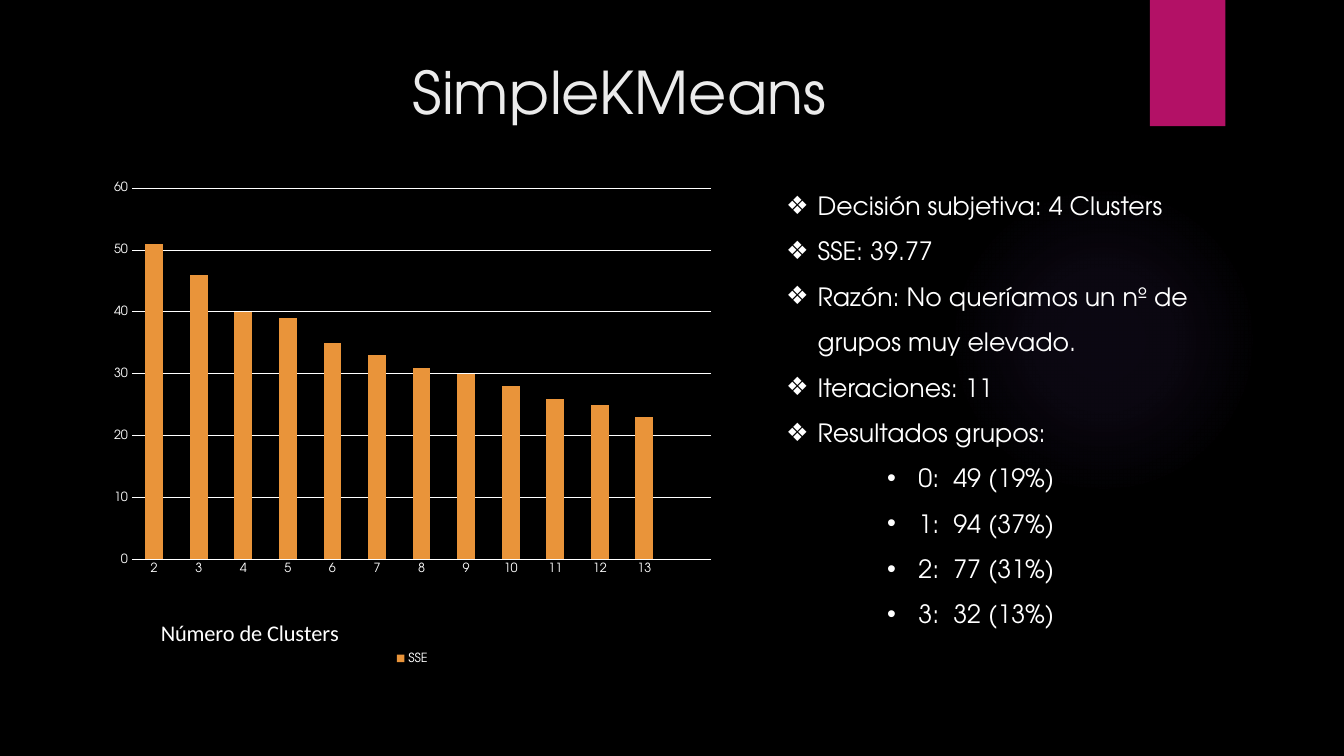
from lxml import etree
from pptx import Presentation
from pptx import util as u
from pptx.chart.data import CategoryChartData
from pptx.dml.color import RGBColor
from pptx.enum import chart as ch, shapes, text
from pptx.oxml import parse_xml
from pptx.oxml.ns import nsdecls, qn

FONT = "TeX Gyre Adventor"
WHITE = "FFFFFF"
SSE_BY_CLUSTERS = [51, 46, 40, 39, 35, 33, 31, 30, 28, 26, 25, 23, None]
DECISIONS = [
    "Decisión subjetiva: 4 Clusters",
    "SSE: 39.77",
    "Razón: No queríamos un nº de grupos muy elevado.",
    "Iteraciones: 11",
    "Resultados grupos:",
]
GROUPS = ["0:  49 (19%)", "1:  94 (37%)", "2:  77 (31%)", "3:  32 (13%)"]


def color(value):
    return RGBColor.from_string(value)


def cm(*lengths):
    return [u.Cm(length) for length in lengths]


def style_font(font, size, name=FONT, fill=WHITE, bold=False):
    font.size, font.name, font.bold = u.Pt(size), name, bold
    font.color.rgb = color(fill)


def write(paragraph, content, size=18, fill=WHITE, name=FONT, align=None, spacing=None):
    run = paragraph.add_run()
    run.text = content
    style_font(run.font, size, name, fill)
    paragraph.alignment = align
    paragraph.line_spacing = spacing


def place(shape, *box):
    shape.left, shape.top, shape.width, shape.height = cm(*box)


def add_bullet(paragraph, mark, left):
    hanging = u.Cm(0.79)
    properties = paragraph._p.get_or_add_pPr()
    properties.set("marL", str(u.Cm(left)))
    properties.set("indent", str(-hanging))
    paragraph.space_before = u.Pt(0)
    etree.SubElement(properties, qn("a:buChar")).set("char", mark)


def add_decoration(slide, kind, box, fill=None):
    decoration = slide.shapes.add_shape(kind, *cm(*box))
    decoration.shadow.inherit = False
    decoration.line.fill.background()
    if fill:
        decoration.fill.solid()
        decoration.fill.fore_color.rgb = color(fill)
    else:
        decoration.fill.background()
    return decoration


def add_glow(slide):
    glow = add_decoration(slide, shapes.MSO_SHAPE.OVAL, (23.9, 4.65, 7.82, 7.82))
    stops = "".join(
        f'<a:gs pos="{position}000"><a:srgbClr val="9B6BF2">'
        f'<a:alpha val="{alpha}000"/></a:srgbClr></a:gs>'
        for position, alpha in ((0, 7), (36, 6), (69, 0))
    )
    gradient = parse_xml(
        f'<a:gradFill {nsdecls("a")}><a:gsLst>{stops}</a:gsLst><a:path path="circle">'
        '<a:fillToRect l="50000" t="50000" r="50000" b="50000"/></a:path></a:gradFill>'
    )
    properties = glow._element.spPr
    properties.replace(properties.find(qn("a:noFill")), gradient)
    slide.shapes._spTree.insert(2, glow._element)


def manual_layout(inner=False, **fractions):
    target = '<c:layoutTarget val="inner"/>' if inner else ""
    modes = "".join(f'<c:{axis}Mode val="edge"/>' for axis in "xy")
    sizes = "".join(f'<c:{key} val="{value}"/>' for key, value in fractions.items())
    return parse_xml(
        f'<c:layout {nsdecls("c")}><c:manualLayout>{target}{modes}{sizes}'
        "</c:manualLayout></c:layout>"
    )


def set_layout(parent, layout, after=None):
    for old in parent.findall(qn("c:layout")):
        parent.remove(old)
    if after is None:
        parent.insert(0, layout)
    else:
        after.addnext(layout)


def style_axis(axis):
    axis.major_tick_mark = axis.minor_tick_mark = ch.XL_TICK_MARK.NONE
    style_font(axis.tick_labels.font, 9)


def style_line(line):
    line.color.rgb = color(WHITE)
    line.width = u.Pt(0.75)


def add_sse_chart(slide):
    data = CategoryChartData()
    data.categories = [str(count) for count in range(2, 14)] + [""]
    data.add_series("SSE", SSE_BY_CLUSTERS)
    chart = slide.shapes.add_chart(
        ch.XL_CHART_TYPE.COLUMN_STACKED, *cm(2.54, 4.37, 15.7, 12.47), data
    ).chart
    style_font(chart.font, 10)
    chart.has_title = False

    chart.has_legend = True
    chart.legend.position = ch.XL_LEGEND_POSITION.BOTTOM
    chart.legend.include_in_layout = False
    style_font(chart.legend.font, 9)

    bars = chart.plots[0]
    bars.gap_width, bars.overlap, bars.vary_by_categories = 150, 100, False
    sse_fill = bars.series[0].format.fill
    sse_fill.solid()
    sse_fill.fore_color.rgb = color("E9943A")

    clusters, sse = chart.category_axis, chart.value_axis
    style_axis(clusters)
    style_axis(sse)
    style_line(clusters.format.line)
    style_line(sse.major_gridlines.format.line)
    sse.format.line.fill.background()
    sse.minimum_scale, sse.maximum_scale, sse.major_unit = 0, 60, 10

    caption = clusters.axis_title
    write(caption.text_frame.paragraphs[0], "Número de Clusters", size=16, name="Calibri")
    caption_xml = caption._element
    set_layout(caption_xml, manual_layout(x=0.09, y=0.89), caption_xml.find(qn("c:tx")))
    plot_area = chart._chartSpace.chart.plotArea
    set_layout(plot_area, manual_layout(inner=True, x=0.05, y=0.03, w=0.93, h=0.75))


def fill_title(title):
    place(title, 2.54, 1.27, 26.14, 3.12)
    title.text_frame.vertical_anchor = text.MSO_ANCHOR.TOP
    write(title.text_frame.paragraphs[0], "SimpleKMeans", size=42, fill="EBEBEB",
          align=text.PP_ALIGN.CENTER)


def fill_conclusions(body):
    place(body, 19.56, 4.29, 11.05, 12.57)
    frame = body.text_frame
    frame.auto_size = text.MSO_AUTO_SIZE.SHAPE_TO_FIT_TEXT
    items = [(item, 0, "❖", 0.79) for item in DECISIONS]
    items += [(group, 2, "•", 3.33) for group in GROUPS]
    for index, (content, level, mark, left) in enumerate(items):
        paragraph = frame.add_paragraph() if index else frame.paragraphs[0]
        paragraph.level = level
        write(paragraph, content, spacing=1.5)
        add_bullet(paragraph, mark, left)


def main():
    deck = Presentation()
    deck.slide_width, deck.slide_height = cm(33.87, 19.05)
    slide = deck.slides.add_slide(deck.slide_layouts[1])
    slide.background.fill.solid()
    slide.background.fill.fore_color.rgb = color("000000")
    add_glow(slide)
    add_decoration(slide, shapes.MSO_SHAPE.RECTANGLE, (28.98, 0, 1.9, 3.18), "B31166")
    fill_title(slide.shapes.title)
    add_sse_chart(slide)
    fill_conclusions(slide.placeholders[1])
    deck.save("out.pptx")


if __name__ == "__main__":
    main()
